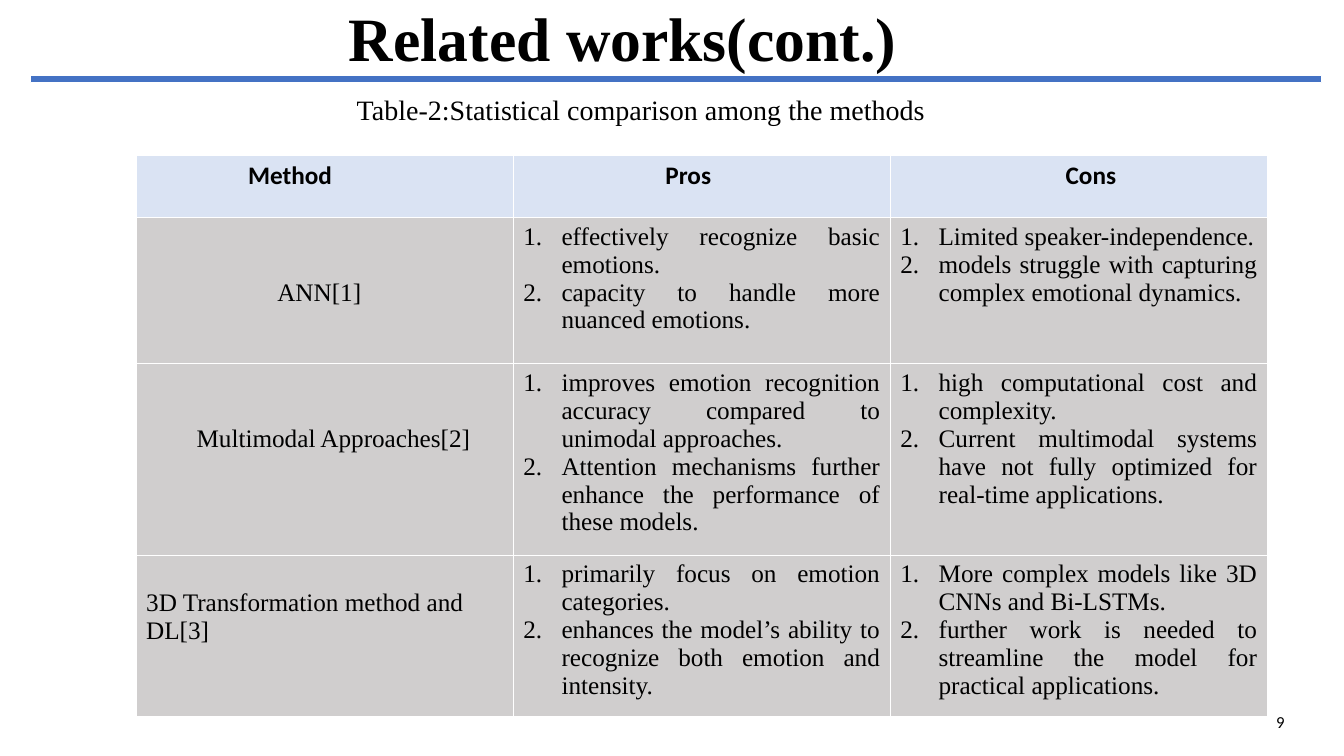
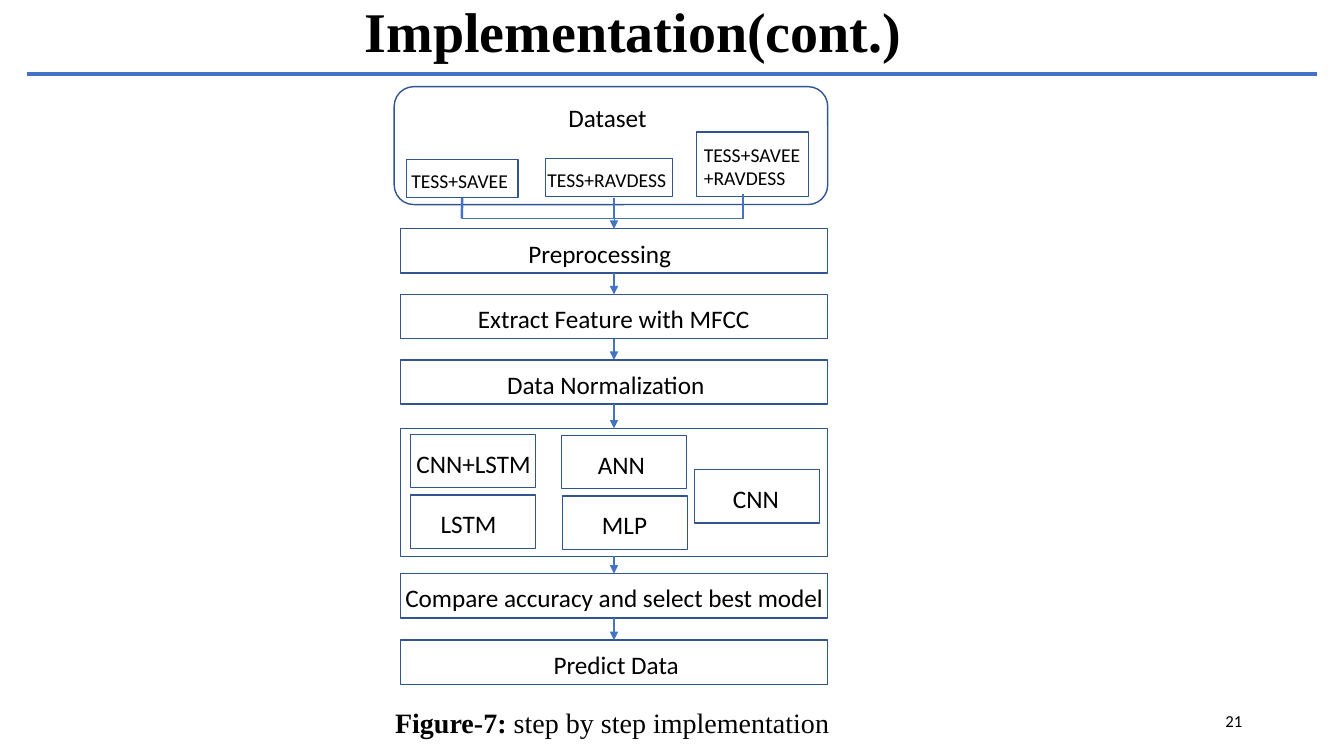
import pptx
import pptx.util
import pptx.dml.color
import pptx.enum.shapes
import pptx.enum.text
import pptx.oxml
import pptx.oxml.ns

Inches, Pt = pptx.util.Inches, pptx.util.Pt
RGB = pptx.dml.color.RGBColor
SHAPE = pptx.enum.shapes.MSO_SHAPE
ALIGN, ANCHOR = pptx.enum.text.PP_ALIGN, pptx.enum.text.MSO_ANCHOR
NS = pptx.oxml.ns.nsdecls("a")

BLACK = RGB(0x00, 0x00, 0x00)
WHITE = RGB(0xFF, 0xFF, 0xFF)
BLUE = RGB(0x44, 0x72, 0xC4)
NAVY = RGB(0x32, 0x54, 0x91)
PALE = RGB(0xDA, 0xE3, 0xF3)
GREY = RGB(0xD0, 0xCE, 0xCE)
SERIF, SANS = "Times New Roman", "Calibri"


def write(para, text, size, font, bold=False, align=ALIGN.LEFT):
    para.alignment = align
    run = para.add_run()
    run.text = text
    run.font.size, run.font.name, run.font.bold = Pt(size), font, bold
    run.font.color.rgb = BLACK


def draw(slide, kind, left, top, width, height, fill, line, weight):
    shape = slide.shapes.add_shape(
        kind, Inches(left), Inches(top), Inches(width), Inches(height))
    shape.shadow.inherit = False
    shape.fill.solid()
    shape.fill.fore_color.rgb = fill
    shape.line.color.rgb = line
    shape.line.width = Pt(weight)
    return shape


deck = pptx.Presentation()
deck.slide_width, deck.slide_height = Inches(13.33), Inches(7.5)

# Shared frame: title, blue band, caption and page number
# title, size, spacing, place | band | caption runs, place | number, place
pages = [
    ("Related works(cont.)", 44, 0.9, (3.36, 0.03, 7.9, 0.84),
     (0.3, 0.75, 12.81, 0.07),
     [("Table-2:Statistical comparison among the methods", False)],
     (3.44, 0.87, 8.3, 0.44), "9", (9.84, 6.96, 3, 0.4)),
    ("Implementation(cont.)", 40, 1.0, (3.52, -0.08, 6, 0.77),
     (0.26, 0.71, 12.81, 0.05),
     [("Figure-7:", True), (" step by step implementation", False)],
     (3.82, 6.95, 6.84, 0.44), "21", (9.42, 6.95, 3, 0.4)),
]
slides = []
for name, size, space, place, band, runs, spot, page, corner in pages:
    slide = deck.slides.add_slide(deck.slide_layouts[5])
    slides.append(slide)
    title = slide.shapes.title
    title.left, title.top, title.width, title.height = map(Inches, place)
    title.text_frame.auto_size = pptx.enum.text.MSO_AUTO_SIZE.NONE
    title.text_frame.vertical_anchor = ANCHOR.TOP
    head = title.text_frame.paragraphs[0]
    head.line_spacing = space
    write(head, name, size, SERIF, True)

    draw(slide, SHAPE.RECTANGLE, *band, BLUE, WHITE, 0.5)

    note = slide.shapes.add_textbox(*map(Inches, spot)).text_frame
    note.word_wrap = True
    for text, bold in runs:
        write(note.paragraphs[0], text, 20, SERIF, bold)

    foot = slide.shapes.add_textbox(*map(Inches, corner)).text_frame
    foot.word_wrap = True
    foot.vertical_anchor = ANCHOR.MIDDLE
    write(foot.paragraphs[0], page, 12, SANS, align=ALIGN.RIGHT)

works, steps = slides

# Comparison table
heads = [("Method", 1.11), ("Pros", 1.51), ("Cons", 1.74)]
# method, left margin, top margin, pros, cons
rows = [
    ("ANN[1]", 1.4, 0.61,
     ["effectively recognize basic emotions.",
      "capacity to handle more nuanced emotions."],
     ["Limited speaker-independence.",
      "models struggle with capturing complex emotional dynamics."]),
    ("Multimodal Approaches[2]", 0.6, 0.61,
     ["improves emotion recognition accuracy compared to unimodal approaches.",
      "Attention mechanisms further enhance the performance of these models."],
     ["high computational cost and complexity.",
      "Current multimodal systems have not fully optimized for "
      "real-time applications."]),
    ("3D Transformation method and DL[3]", 0.1, 0.33,
     ["primarily focus on emotion categories.",
      "enhances the model’s ability to recognize both emotion and intensity."],
     ["More complex models like 3D CNNs and Bi-LSTMs.",
      "further work is needed to streamline the model for "
      "practical applications."]),
]
table = works.shapes.add_table(
    4, 3, Inches(1.35), Inches(1.54), Inches(11.22), Inches(5.3)).table
for col in table.columns:
    col.width = Inches(3.74)
for row, tall in zip(table.rows, (0.62, 1.45, 1.76, 1.47)):
    row.height = Inches(tall)
for cell in table.iter_cells():
    cell.fill.solid()
    cell.fill.fore_color.rgb = GREY
for col, (text, left) in enumerate(heads):
    cell = table.cell(0, col)
    cell.fill.fore_color.rgb = PALE
    cell.margin_left = Inches(left)
    write(cell.text_frame.paragraphs[0], text, 18, SANS, True)
for row, (text, left, top, *lists) in enumerate(rows, 1):
    cell = table.cell(row, 0)
    cell.margin_left, cell.margin_top = Inches(left), Inches(top)
    write(cell.text_frame.paragraphs[0], text, 18, SERIF)
    for col, points in enumerate(lists, 1):
        frame = table.cell(row, col).text_frame
        for num, point in enumerate(points):
            para = frame.add_paragraph() if num else frame.paragraphs[0]
            write(para, point, 18, SERIF, align=ALIGN.JUSTIFY)
            props = para._p.get_or_add_pPr()
            props.set("marL", str(Inches(0.38)))
            props.set("indent", str(-Inches(0.38)))
            props.append(pptx.oxml.parse_xml(
                f'<a:buAutoNum {NS} type="arabicPeriod"/>'))

# Flow chart boxes: text, size, text inset, left, top, width, height
boxes = [
    ("Dataset", 18, 1.67, 3.91, 0.86, 4.3, 1.17),
    ("TESS+SAVEE", 14, 0.05, 4.03, 1.58, 1.11, 0.38),
    ("TESS+RAVDESS", 14, 0.02, 5.41, 1.57, 1.26, 0.38),
    ("TESS+SAVEE+RAVDESS", 14, 0.07, 6.91, 1.31, 1.11, 0.64),
    ("Preprocessing", 18, 1.27, 3.97, 2.27, 4.24, 0.44),
    ("Extract Feature with MFCC", 18, 0.77, 3.97, 2.92, 4.24, 0.44),
    ("Data Normalization", 18, 1.06, 3.97, 3.57, 4.24, 0.44),
    ("", 18, 0, 3.97, 4.25, 4.24, 1.27),
    ("Compare accuracy and select best model", 18, 0.05, 3.97, 5.69, 4.24, 0.44),
    ("Predict Data", 18, 1.52, 3.97, 6.35, 4.24, 0.44),
    ("CNN+LSTM", 18, 0.06, 4.07, 4.31, 1.24, 0.53),
    ("LSTM", 18, 0.3, 4.07, 4.91, 1.24, 0.53),
    ("ANN", 18, 0.36, 5.57, 4.32, 1.24, 0.53),
    ("MLP", 18, 0.39, 5.58, 4.92, 1.24, 0.53),
    ("CNN", 18, 0.38, 6.89, 4.66, 1.24, 0.53),
]
made = []
for text, size, inset, *place in boxes:
    data = text == "Dataset"
    kind = SHAPE.ROUNDED_RECTANGLE if data else SHAPE.RECTANGLE
    box = draw(steps, kind, *place, WHITE, NAVY, 1)
    made.append(box)
    if text:
        frame = box.text_frame
        frame.word_wrap = True
        frame.vertical_anchor = ANCHOR.TOP if data else ANCHOR.MIDDLE
        frame.margin_left, frame.margin_right = Inches(inset), 0
        frame.margin_top = Inches(0.1 if data else 0.04)
        frame.margin_bottom = 0
        write(frame.paragraphs[0], text, size, SANS)

# Lines: from, to, weight, arrowhead, joined start, joined end
flow = made[4:10]
links = [
    (4.58, 1.96, 4.58, 2.17, 1.75, False, made[1], None),
    (6.09, 1.96, 6.09, 2.17, 1.75, False, None, None),
    (7.37, 1.92, 7.37, 2.17, 1.75, False, None, None),
    (4.58, 2.17, 7.37, 2.17, 0.5, False, None, None),
    (6.09, 2.17, 6.09, 2.27, 0.5, True, None, flow[0]),
]
links += [(0, 0, 0, 0, 1.5, True, *pair) for pair in zip(flow, flow[1:])]
for *ends, weight, arrow, start, stop in links:
    link = steps.shapes.add_connector(
        pptx.enum.shapes.MSO_CONNECTOR.STRAIGHT, *map(Inches, ends))
    if start:
        link.begin_connect(start, 2)
    if stop:
        link.end_connect(stop, 0)
    link.line.color.rgb = BLUE
    link.line.width = Pt(weight)
    if arrow:
        link.line._get_or_add_ln().append(
            pptx.oxml.parse_xml(f'<a:tailEnd {NS} type="triangle"/>'))
    link._element.spPr.append(pptx.oxml.parse_xml(f"<a:effectLst {NS}/>"))

deck.save("out.pptx")
